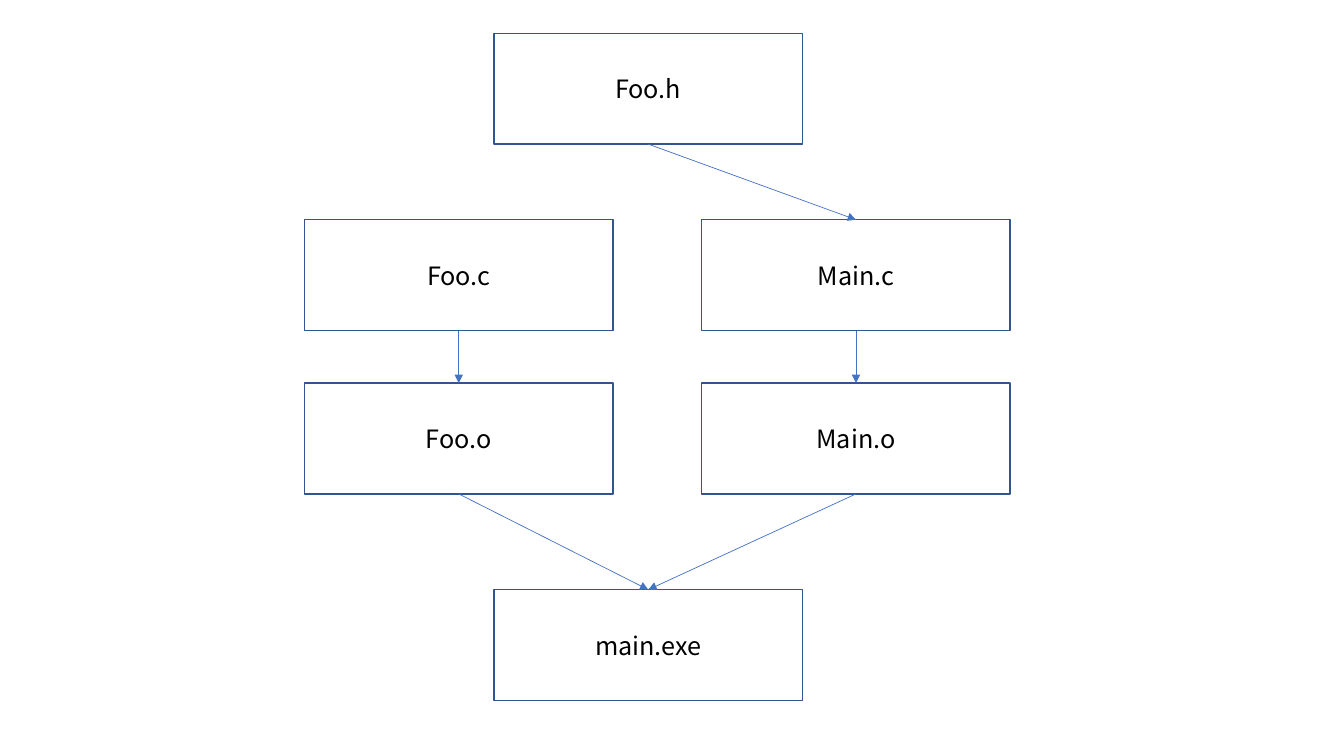
import dataclasses

import lxml.etree
import pptx
import pptx.dml.color
import pptx.enum.shapes
import pptx.enum.text
import pptx.oxml.ns
import pptx.util

Inches = pptx.util.Inches
Pt = pptx.util.Pt


@dataclasses.dataclass(frozen=True)
class Theme:
    font: str = "Noto Sans CJK KR"
    text_size: float = 18
    text_color: str = "000000"
    border_color: str = "325491"
    border_width: float = 1
    arrow_color: str = "4472C4"
    arrow_width: float = 0.5


def rgb(value):
    return pptx.dml.color.RGBColor.from_string(value)


def write_text(tf, text, *, font, size, color):
    tf.word_wrap = True
    tf.vertical_anchor = pptx.enum.text.MSO_ANCHOR.MIDDLE
    p = tf.paragraphs[0]
    p.alignment = pptx.enum.text.PP_ALIGN.CENTER
    r = p.add_run()
    r.text = text
    r.font.name = font
    r.font.size = Pt(size)
    r.font.color.rgb = rgb(color)


class Diagram:
    TOP, BOTTOM = 0, 2  # connection sites of a rectangle

    def __init__(self, s, theme):
        self.s = s
        self.theme = theme

    def box(self, text, left, top, width, height):
        t = self.theme
        sp = self.s.shapes.add_shape(
            pptx.enum.shapes.MSO_SHAPE.RECTANGLE,
            Inches(left), Inches(top), Inches(width), Inches(height))
        sp.shadow.inherit = False
        sp.fill.background()
        sp.line.color.rgb = rgb(t.border_color)
        sp.line.width = Pt(t.border_width)
        write_text(sp.text_frame, text, font=t.font, size=t.text_size,
                   color=t.text_color)
        return sp

    def arrow(self, source, target):
        t = self.theme
        cx = self.s.shapes.add_connector(
            pptx.enum.shapes.MSO_CONNECTOR.STRAIGHT, 0, 0, 0, 0)
        cx.begin_connect(source, self.BOTTOM)
        cx.end_connect(target, self.TOP)
        cx.line.color.rgb = rgb(t.arrow_color)
        cx.line.width = Pt(t.arrow_width)
        # Arrowhead, and no shadow
        qn = pptx.oxml.ns.qn
        ln = cx.line._get_or_add_ln()
        lxml.etree.SubElement(ln, qn("a:tailEnd"), type="triangle")
        lxml.etree.SubElement(ln.getparent(), qn("a:effectLst"))


BOX_WIDTH, BOX_HEIGHT = 3.06, 1.1
LEFT, MIDDLE, RIGHT = 3.02, 4.9, 6.96
HEADER_ROW, SOURCE_ROW, OBJECT_ROW, PROGRAM_ROW = 0.33, 2.18, 3.8, 5.85

FILES = {
    "Foo.h": (MIDDLE, HEADER_ROW),
    "Foo.c": (LEFT, SOURCE_ROW),
    "Main.c": (RIGHT, SOURCE_ROW),
    "main.exe": (MIDDLE, PROGRAM_ROW),
    "Foo.o": (LEFT, OBJECT_ROW),
    "Main.o": (RIGHT, OBJECT_ROW),
}
BUILD_STEPS = [
    ("Foo.c", "Foo.o"),
    ("Main.c", "Main.o"),
    ("Foo.o", "main.exe"),
    ("Main.o", "main.exe"),
    ("Foo.h", "Main.c"),
]


def main():
    prs = pptx.Presentation()
    prs.slide_width, prs.slide_height = Inches(13.33), Inches(7.5)
    s = prs.slides.add_slide(prs.slide_layouts[6])
    diagram = Diagram(s, Theme())

    # File boxes
    boxes = {name: diagram.box(name, left, top, BOX_WIDTH, BOX_HEIGHT)
             for name, (left, top) in FILES.items()}

    # Build arrows
    for source, target in BUILD_STEPS:
        diagram.arrow(boxes[source], boxes[target])

    prs.save("out.pptx")


if __name__ == "__main__":
    main()
